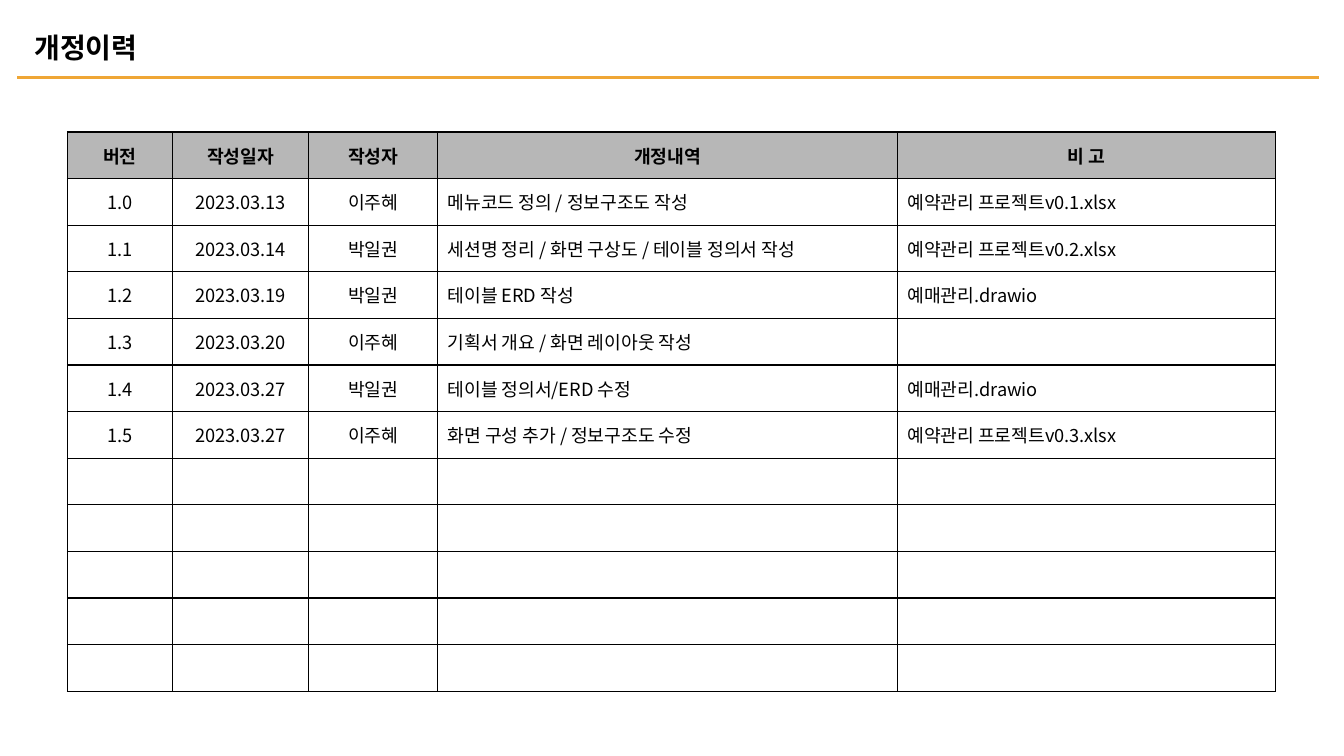
from lxml.etree import SubElement
from pptx import Presentation
from pptx.dml.color import RGBColor
from pptx.enum.shapes import MSO_CONNECTOR
from pptx.enum.text import MSO_ANCHOR, MSO_AUTO_SIZE, PP_ALIGN
from pptx.oxml.ns import qn
from pptx.util import Pt

PX = 9144  # 100 px to the inch

HEADINGS = ["버전", "작성일자", "작성자", "개정내역", "비 고"]
REVISIONS = [
    ["1.0", "2023.03.13", "이주혜", "메뉴코드 정의 / 정보구조도 작성", "예약관리 프로젝트v0.1.xlsx"],
    ["1.1", "2023.03.14", "박일권", "세션명 정리 / 화면 구상도 / 테이블 정의서 작성", "예약관리 프로젝트v0.2.xlsx"],
    ["1.2", "2023.03.19", "박일권", "테이블 ERD 작성", "예매관리.drawio"],
    ["1.3", "2023.03.20", "이주혜", "기획서 개요 / 화면 레이아웃 작성", ""],
    ["1.4", "2023.03.27", "박일권", "테이블 정의서/ERD 수정", "예매관리.drawio"],
    ["1.5", "2023.03.27", "이주혜", "화면 구성 추가 / 정보구조도 수정", "예약관리 프로젝트v0.3.xlsx"],
]
SPARE_ROWS = 5
COLUMN_WIDTHS = [104, 135, 128, 456, 375]
CENTRED_COLUMNS = 3


def px(length):
    return int(length * PX)


def color(hex_string):
    return RGBColor.from_string(hex_string)


class RevisionSlide:
    font = "Noto Sans CJK KR"
    ink = "000000"
    accent = "EFA635"
    header_fill = "B7B7B7"

    def __init__(self, presentation):
        self.slide = presentation.slides.add_slide(presentation.slide_layouts[5])

    def put_text(self, frame, text, size, bold=False, align=PP_ALIGN.LEFT, spacing=1.0):
        paragraph = frame.paragraphs[0]
        paragraph.alignment = align
        paragraph.line_spacing = spacing
        if not text:
            # An empty cell still needs its text size, or its row grows.
            SubElement(paragraph._p, qn("a:endParaRPr"), sz=str(size * 100))
            return
        run = paragraph.add_run()
        run.text = text
        run.font.size = Pt(size)
        run.font.bold = bold
        run.font.name = self.font
        run.font.color.rgb = color(self.ink)
        SubElement(run.font._element, qn("a:ea"), typeface=self.font)

    def title(self, text, left, top, width, height):
        shape = self.slide.shapes.title
        shape.left, shape.top, shape.width, shape.height = map(px, (left, top, width, height))
        frame = shape.text_frame
        frame.auto_size = MSO_AUTO_SIZE.NONE
        frame.vertical_anchor = MSO_ANCHOR.MIDDLE
        frame.margin_left = px(10)
        frame.margin_top = frame.margin_right = frame.margin_bottom = px(2)
        self.put_text(frame, text, 20, bold=True, spacing=0.9)

    def rule(self, left, right, y):
        line = self.slide.shapes.add_connector(
            MSO_CONNECTOR.STRAIGHT, px(left), px(y), px(right), px(y))
        line.line.color.rgb = color(self.accent)
        line.line.width = Pt(1.75)
        SubElement(line._element.spPr, qn("a:effectLst"))

    def border(self, cell):
        properties = cell._tc.get_or_add_tcPr()
        for position, side in enumerate(("lnL", "lnR", "lnT", "lnB")):
            line = properties.makeelement(qn(f"a:{side}"), {"w": str(Pt(1))})
            fill = SubElement(line, qn("a:solidFill"))
            SubElement(fill, qn("a:srgbClr"), val=self.ink)
            properties.insert(position, line)

    def table(self, rows, widths, left, top, height):
        table = self.slide.shapes.add_table(
            len(rows), len(widths), px(left), px(top), px(sum(widths)), px(height)).table
        for column, width in zip(table.columns, widths):
            column.width = px(width)
        for row_index, row in enumerate(rows):
            for column_index, text in enumerate(row):
                self.cell(table.cell(row_index, column_index), text,
                          header=row_index == 0,
                          centred=row_index == 0 or column_index < CENTRED_COLUMNS)

    def cell(self, cell, text, header, centred):
        cell.vertical_anchor = MSO_ANCHOR.MIDDLE
        cell.margin_left = cell.margin_right = px(10)
        cell.margin_top = cell.margin_bottom = px(6)
        if header:
            cell.fill.solid()
            cell.fill.fore_color.rgb = color(self.header_fill)
        else:
            cell.fill.background()
        self.border(cell)
        self.put_text(cell.text_frame, text, 13, bold=header,
                      align=PP_ALIGN.CENTER if centred else PP_ALIGN.LEFT)


def main():
    presentation = Presentation()
    presentation.slide_width, presentation.slide_height = px(1333), px(750)
    page = RevisionSlide(presentation)
    page.rule(17, 1308, 77)
    page.title("개정이력", 24, 28, 838, 42)
    spare = [[""] * len(HEADINGS)] * SPARE_ROWS
    page.table([HEADINGS, *REVISIONS, *spare], COLUMN_WIDTHS, 67, 131, 555)
    presentation.save("out.pptx")


if __name__ == "__main__":
    main()
